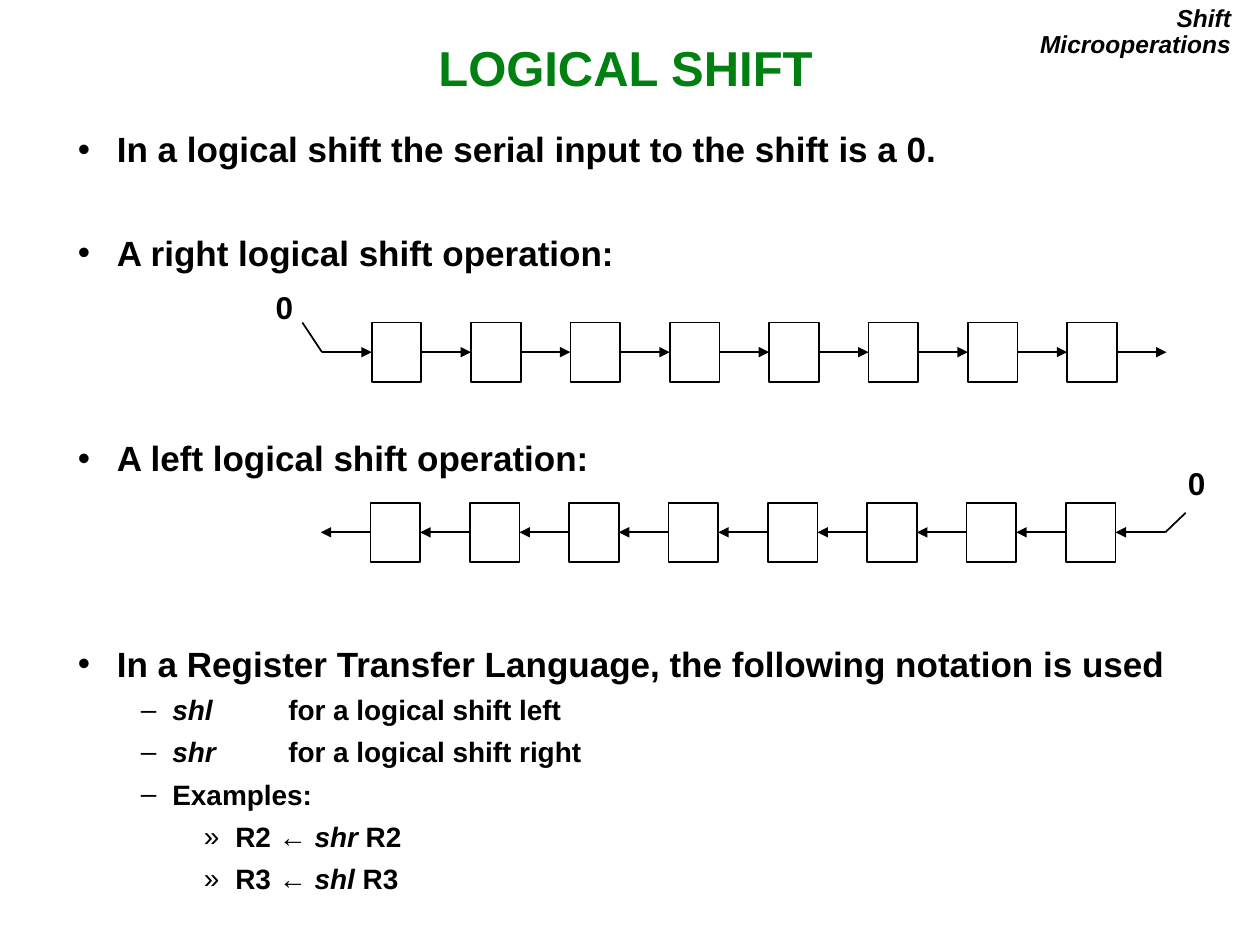
from lxml.etree import SubElement
from pptx import Presentation
from pptx.dml.color import RGBColor
from pptx.enum.shapes import MSO_CONNECTOR, MSO_SHAPE
from pptx.enum.text import MSO_ANCHOR, PP_ALIGN
from pptx.oxml.ns import qn
from pptx.util import Inches, Pt

BLACK = RGBColor(0x00, 0x00, 0x00)
GREEN = RGBColor(0x00, 0x80, 0x11)

COUNT = 8
STEP = 5.52 / (COUNT - 1)
WIDTH = STEP / 2
HEIGHT = 0.47

LEVELS = [
    {"mark": "•", "size": 20, "left": 0.31, "hang": 0.31},
    {"mark": "–", "size": 16, "left": 0.75, "hang": 0.25},
    {"mark": "»", "size": 16, "left": 1.25, "hang": 0.25},
]

ITEMS = [
    (0, 0, [("In a logical shift the serial input to the shift is a 0.", False)]),
    (0, 37.6, [("A right logical shift operation:", False)]),
    (0, 95.9, [("A left logical shift operation:", False)]),
    (0, 95.9, [("In a Register Transfer Language, the following notation is used", False)]),
    (1, 6.8, [("shl\t", True), ("for a logical shift left", False)]),
    (1, 6.8, [("shr\t", True), ("for a logical shift right", False)]),
    (1, 6.8, [("Examples:", False)]),
    (2, 6.8, [("R2 ← ", False), ("shr", True), (" R2", False)]),
    (2, 6.8, [("R3 ← ", False), ("shl", True), (" R3", False)]),
]


def assign(target, values):
    for name, value in values.items():
        setattr(target, name, value)


def add_run(para, text, size, color=BLACK, italic=False):
    run = para.add_run()
    run.text = text
    assign(run.font, {"name": "Arial", "size": Pt(size), "bold": True, "italic": italic})
    run.font.color.rgb = color


def add_frame(slide, area, **values):
    frame = slide.shapes.add_textbox(*map(Inches, area)).text_frame
    assign(frame, {"word_wrap": True, **values})
    return frame


def add_label(slide, area, text, size, align, color=BLACK, italic=False, **values):
    para = add_frame(slide, area, **values).paragraphs[0]
    assign(para, {"alignment": align, "line_spacing": 0.9})
    add_run(para, text, size, color, italic)


def add_bullet(para, level):
    props = para._p.get_or_add_pPr()
    props.set("marL", str(Inches(level["left"])))
    props.set("indent", str(-Inches(level["hang"])))
    tint = SubElement(props, qn("a:buClr"))
    SubElement(tint, qn("a:srgbClr"), val=str(BLACK))
    SubElement(props, qn("a:buFont"), typeface="Arial")
    SubElement(props, qn("a:buChar"), char=level["mark"])
    tabs = SubElement(props, qn("a:tabLst"))
    SubElement(tabs, qn("a:tab"), pos=str(Inches(1.67)), algn="l")


def add_list(slide):
    frame = add_frame(slide, (0.52, 1, 8.97, 6.21))
    for index, (depth, gap, runs) in enumerate(ITEMS):
        para = frame.add_paragraph() if index else frame.paragraphs[0]
        level = LEVELS[depth]
        add_bullet(para, level)
        assign(para, {"level": depth, "line_spacing": 0.9, "space_before": Pt(gap)})
        for text, italic in runs:
            add_run(para, text, level["size"], italic=italic)


def add_cell(slide, left, top):
    cell = slide.shapes.add_shape(
        MSO_SHAPE.RECTANGLE, *map(Inches, (left, top, WIDTH, HEIGHT)))
    cell.shadow.inherit = False
    cell.fill.background()
    cell.line.color.rgb = BLACK
    cell.line.width = Pt(1)
    return cell


def add_line(slide, start, end, arrow=True):
    line = slide.shapes.add_connector(
        MSO_CONNECTOR.STRAIGHT, *map(Inches, (*start, *end)))
    line.line.color.rgb = BLACK
    line.line.width = Pt(1)
    if arrow:
        SubElement(line.line._get_or_add_ln(), qn("a:tailEnd"), type="triangle")
    SubElement(line._element.spPr, qn("a:effectLst"))
    return line


def add_row(slide, left, top, kink, zero, right):
    cells = [add_cell(slide, left + i * STEP, top) for i in range(COUNT)]
    middle = top + HEIGHT / 2
    stops = [(left + (i - 0.5) * STEP, middle) for i in range(COUNT + 1)]
    ends = [(x + WIDTH, middle) for x, _ in stops]
    leave, enter = 3, 1
    if not right:
        cells.reverse()
        stops, ends = ends[::-1], stops[::-1]
        leave, enter = enter, leave
    for index, (start, end) in enumerate(zip(stops, ends)):
        line = add_line(slide, start, end)
        if index:
            line.begin_connect(cells[index - 1], leave)
        if index < COUNT:
            line.end_connect(cells[index], enter)
    add_line(slide, stops[0], kink, arrow=False)
    add_label(slide, (*zero, 0.34, 0.37), "0", 18, PP_ALIGN.LEFT, word_wrap=False)


def main():
    deck = Presentation()
    assign(deck, {"slide_width": Inches(10), "slide_height": Inches(7.5)})
    slide = deck.slides.add_slide(deck.slide_layouts[6])
    add_label(slide, (0.16, 0.32, 9.61, 0.48), "LOGICAL SHIFT", 28, PP_ALIGN.CENTER,
              GREEN, margin_top=Inches(0.03), margin_bottom=Inches(0.03),
              vertical_anchor=MSO_ANCHOR.MIDDLE)
    add_label(slide, (7.67, 0, 2.2, 0.31), "Shift Microoperations", 14,
              PP_ALIGN.RIGHT, italic=True, word_wrap=False)
    add_list(slide)
    add_row(slide, 2.95, 2.56, (2.4, 2.56), (2.09, 2.27), right=True)
    add_row(slide, 2.94, 3.99, (9.41, 4.07), (9.33, 3.67), right=False)
    deck.save("out.pptx")


if __name__ == "__main__":
    main()
